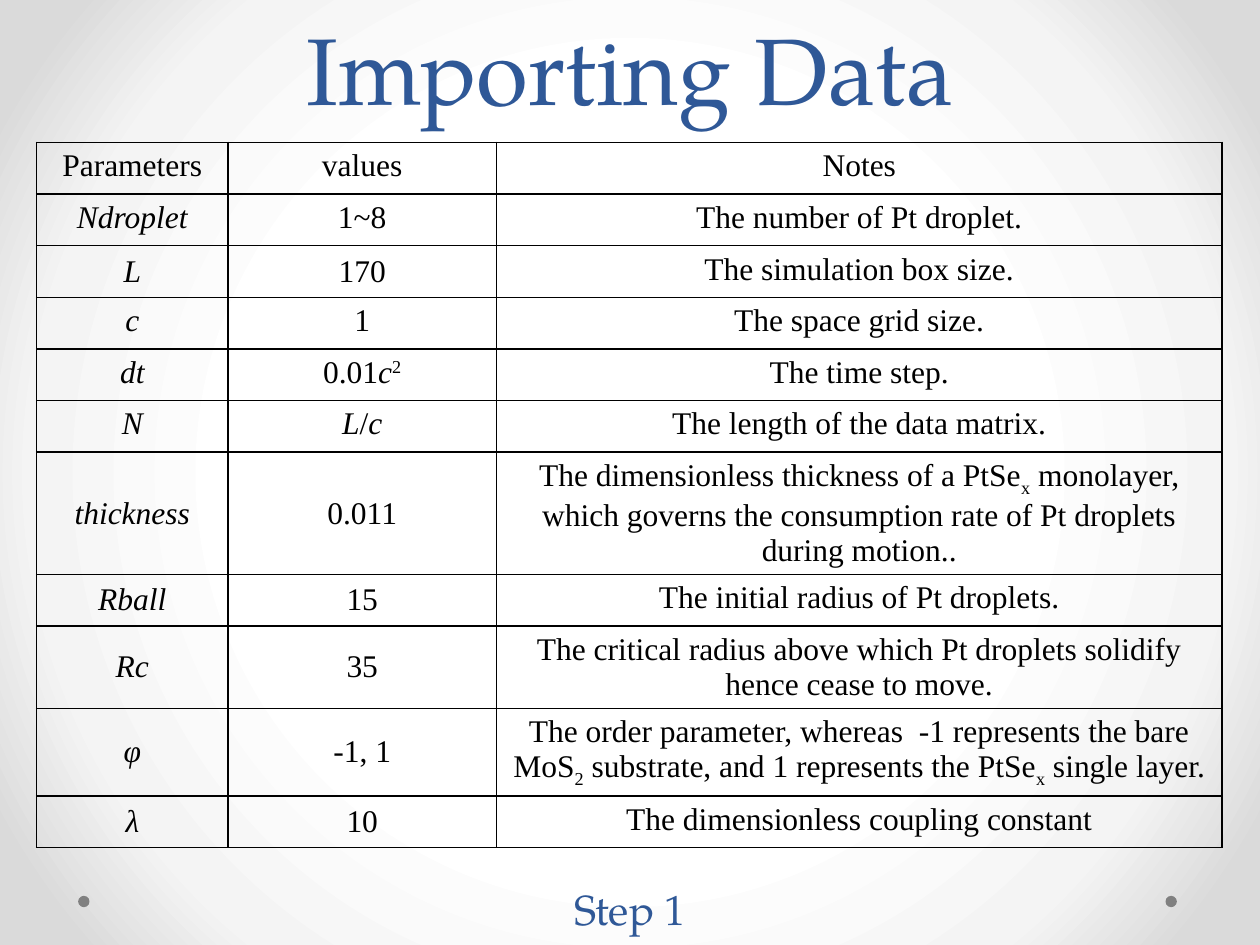
from lxml import etree
from pptx import Presentation
from pptx.dml.color import RGBColor
from pptx.enum import shapes, text
from pptx.oxml import parse_xml
from pptx.oxml.ns import nsdecls, qn
from pptx.util import Inches, Pt

BLUE = RGBColor(0x2F, 0x58, 0x97)
GREY = RGBColor(0x80, 0x80, 0x80)
BLACK = RGBColor(0, 0, 0)
HEADING_FONT = "TeX Gyre Pagella"
TABLE_FONT = "Times New Roman"
BACKGROUND_STOPS = [(50, "FFFFFF"), (76, "F4F4F4"), (92, "DADADA")]
COLUMN_WIDTHS = [1.52, 2.13, 5.76]
ROW_HEIGHT = 0.41
MIDDLE_ROWS = {2, 6, 7, 8, 9, 10}
MARKS = {"*": "italic", "^": "superscript", "_": "subscript"}
BASELINES = {"superscript": "30000", "subscript": "-25000"}
PARAMETERS = [
    ("Parameters", "values", "Notes"),
    ("*Ndroplet*", "1~8", "The number of Pt droplet."),
    ("*L*", "170", "The simulation box size."),
    ("*c*", "1", "The space grid size."),
    ("*dt*", "0.01*c*^2^", "The time step."),
    ("*N*", "*L*/*c*", "The length of the data matrix."),
    ("*thickness*", "0.011",
     "The dimensionless thickness of a PtSe_x_ monolayer, which governs "
     "the consumption rate of Pt droplets during motion.."),
    ("*Rball*", "15", "The initial radius of Pt droplets."),
    ("*Rc*", "35",
     "The critical radius above which Pt droplets solidify hence cease to move."),
    ("*φ*", "-1, 1",
     "The order parameter, whereas  -1 represents the bare MoS_2_ substrate, "
     "and 1 represents the PtSe_x_ single layer."),
    ("*λ*", "10", "The dimensionless coupling constant"),
]


def set_all(target, values):
    """Set every attribute named in a dict of format values."""
    for name, value in values.items():
        setattr(target, name, value)


def paint_background(slide):
    """Fill the slide with a circular gradient, white in the centre."""
    slide.background.fill.gradient()
    gradient = slide.background._cSld.find(".//" + qn("a:gradFill"))
    stops = "".join(
        f'<a:gs pos="{position * 1000}"><a:srgbClr val="{colour}"/></a:gs>'
        for position, colour in BACKGROUND_STOPS)
    gradient.getparent().replace(gradient, parse_xml(
        f'<a:gradFill {nsdecls("a")} rotWithShape="1"><a:gsLst>{stops}</a:gsLst>'
        '<a:path path="circle"><a:fillToRect l="50000" t="50000" r="50000" '
        'b="50000"/></a:path></a:gradFill>'))


def add_dots(slide, left, top, span, size):
    """Place a grey dot at each end of a horizontal span."""
    for offset in (0, span - size):
        dot = slide.shapes.add_shape(
            shapes.MSO_SHAPE.OVAL, Inches(left + offset), Inches(top),
            Inches(size), Inches(size))
        dot.shadow.inherit = False
        dot.fill.solid()
        dot.fill.fore_color.rgb = GREY
        dot.line.fill.background()


def write_heading(heading, wording, size, left, top, width, height):
    """Place and format a centred blue heading at the bottom of its box."""
    set_all(heading, {"left": Inches(left), "top": Inches(top),
                      "width": Inches(width), "height": Inches(height)})
    frame = heading.text_frame
    set_all(frame, {"text": wording, "word_wrap": True,
                    "auto_size": text.MSO_AUTO_SIZE.NONE,
                    "vertical_anchor": text.MSO_ANCHOR.BOTTOM})
    paragraph = frame.paragraphs[0]
    set_all(paragraph, {"alignment": text.PP_ALIGN.CENTER, "line_spacing": Pt(58)})
    font = paragraph.runs[0].font
    set_all(font, {"name": HEADING_FONT, "size": Pt(size)})
    font.color.rgb = BLUE


def split_marks(wording):
    """Return (text, styles) pieces of a wording with style marks."""
    pieces, styles, piece = [], set(), ""
    for letter in wording:
        if letter in MARKS:
            if piece:
                pieces.append((piece, set(styles)))
            piece = ""
            styles ^= {MARKS[letter]}
        else:
            piece += letter
    return pieces + [(piece, styles)] if piece else pieces


def write_cell(cell, wording, anchor):
    """Write a marked wording in a clear cell with thin black borders."""
    cell.fill.background()
    cell.vertical_anchor = anchor
    properties = cell._tc.get_or_add_tcPr()
    for index, side in enumerate(("lnL", "lnR", "lnT", "lnB")):
        properties.insert(index, parse_xml(
            f'<a:{side} {nsdecls("a")} w="12700"><a:solidFill>'
            f'<a:srgbClr val="{BLACK}"/></a:solidFill></a:{side}>'))
    paragraph = cell.text_frame.paragraphs[0]
    paragraph.alignment = text.PP_ALIGN.CENTER
    for piece, styles in split_marks(wording):
        run = paragraph.add_run()
        run.text = piece
        set_all(run.font, {"name": TABLE_FONT, "size": Pt(18), "bold": False,
                           "italic": "italic" in styles})
        run.font.color.rgb = BLACK
        for style in styles & set(BASELINES):
            run.font._element.set("baseline", BASELINES[style])


def add_parameter_table(slide, left, top):
    """Add the table of parameters, values and notes."""
    table = slide.shapes.add_table(
        len(PARAMETERS), len(COLUMN_WIDTHS), Inches(left), Inches(top),
        Inches(sum(COLUMN_WIDTHS)), Inches(ROW_HEIGHT * len(PARAMETERS))).table
    set_all(table, {"first_row": False, "horz_banding": False})
    for column, width in zip(table.columns, COLUMN_WIDTHS):
        column.width = Inches(width)
    for row, wordings in enumerate(PARAMETERS):
        table.rows[row].height = Inches(ROW_HEIGHT)
        for column, wording in enumerate(wordings):
            middle = row in MIDDLE_ROWS and column < 2
            anchor = text.MSO_ANCHOR.MIDDLE if middle else text.MSO_ANCHOR.TOP
            write_cell(table.cell(row, column), wording, anchor)


def main():
    """Build the slide and save it."""
    deck = Presentation()
    set_all(deck, {"slide_width": Inches(10), "slide_height": Inches(7.5)})
    slide = deck.slides.add_slide(deck.slide_layouts[5])
    paint_background(slide)
    add_dots(slide, 0.62, 7.11, 8.72, 0.09)
    write_heading(slide.shapes.title, "Importing Data", 54, 0.5, 0.03, 9, 1.01)
    step = slide.shapes.add_textbox(0, 0, 0, 0)
    write_heading(step, "Step 1", 24, 0.68, 6.67, 8.64, 0.79)
    add_parameter_table(slide, 0.29, 1.13)
    deck.save("out.pptx")


if __name__ == "__main__":
    main()
